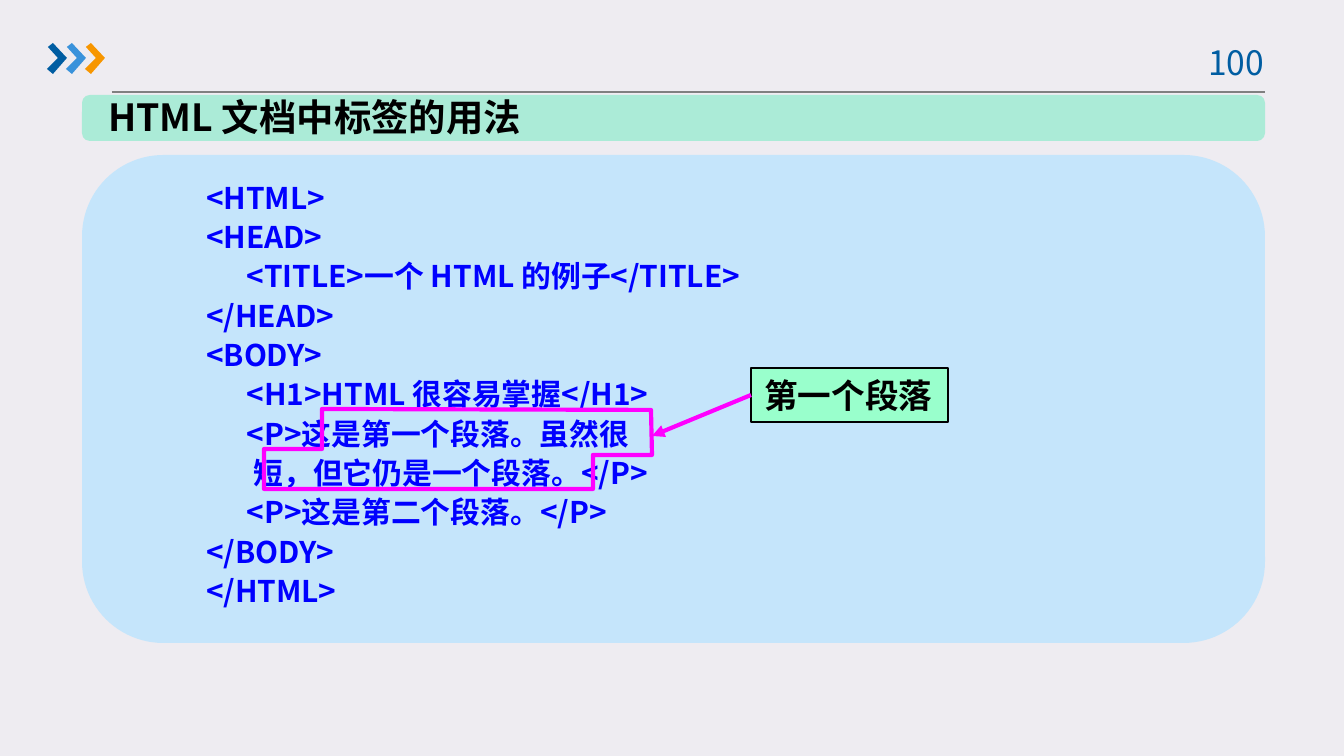
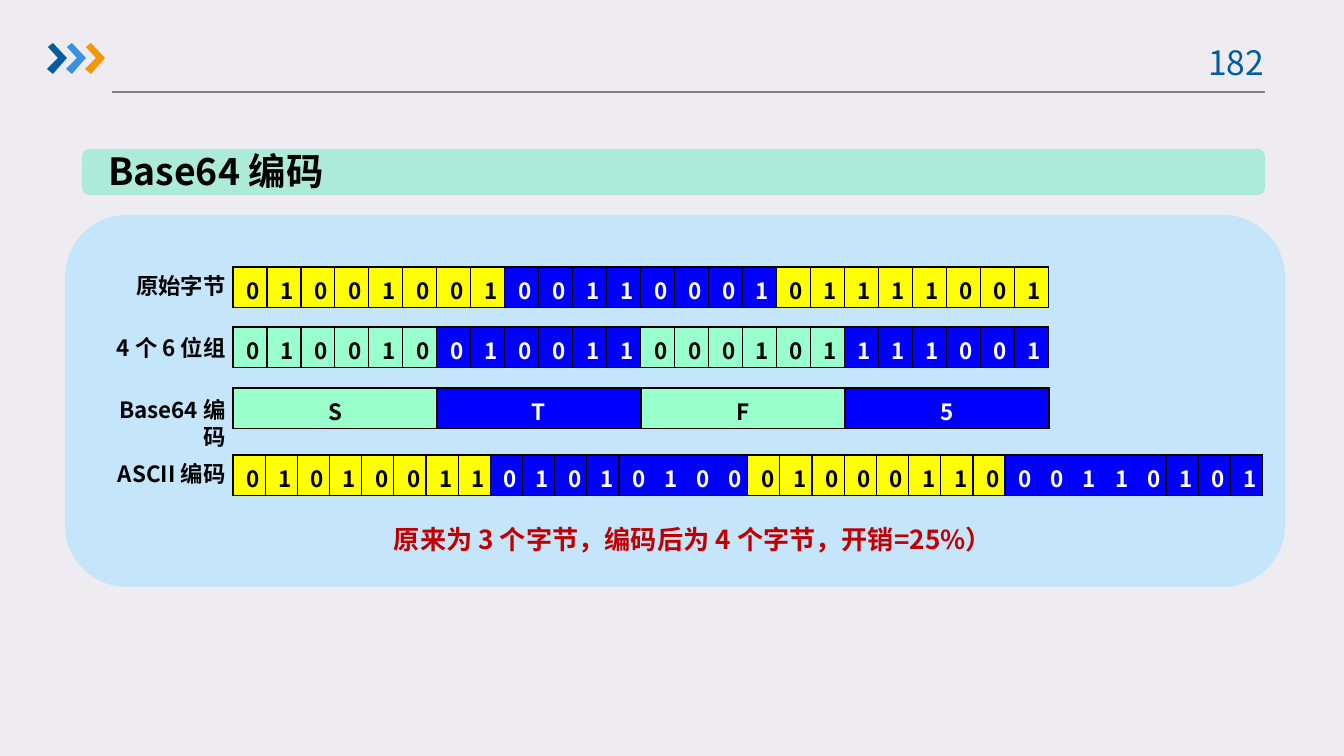
from lxml.etree import SubElement
from pptx import Presentation
from pptx.dml.color import RGBColor
from pptx.enum.shapes import MSO_CONNECTOR, MSO_SHAPE
from pptx.enum.text import MSO_ANCHOR, PP_ALIGN
from pptx.oxml.ns import qn
from pptx.util import Emu, Pt

FONT = "Noto Sans CJK SC"
BACKGROUND = RGBColor(0xEE, 0xEC, 0xF1)
PANEL = RGBColor(0xC5, 0xE5, 0xFB)
TITLE_BAND = RGBColor(0xAB, 0xEB, 0xD7)
NAVY = RGBColor(0x00, 0x5D, 0xA2)
SKY = RGBColor(0x39, 0x92, 0xDB)
ORANGE = RGBColor(0xF7, 0x96, 0x00)
GRAY = RGBColor(0x80, 0x80, 0x80)
BLACK = RGBColor(0x00, 0x00, 0x00)
INK = RGBColor(0x02, 0x02, 0x02)
WHITE = RGBColor(0xFF, 0xFF, 0xFF)
BLUE = RGBColor(0x00, 0x00, 0xFF)
YELLOW = RGBColor(0xFF, 0xFF, 0x00)
MINT = RGBColor(0x99, 0xFF, 0xCC)
MAGENTA = RGBColor(0xFF, 0x00, 0xFF)
RED = RGBColor(0xC0, 0x00, 0x00)

CHEVRON = [(1, 4), (6, 0), (20, 15), (6, 31), (0, 26), (11, 15)]
CODE = [
    "<HTML>",
    "<HEAD>",
    "      <TITLE>一个 HTML 的例子</TITLE>",
    "</HEAD>",
    "<BODY>",
    "      <H1>HTML 很容易掌握</H1>",
    "      <P>这是第一个段落。虽然很",
    "       短，但它仍是一个段落。</P>",
    "      <P>这是第二个段落。</P>",
    "</BODY>",
    "</HTML>",
]
PARAGRAPH_OUTLINE = [(0, 80), (0, 40), (58, 40), (58, 0),
                     (387, 1), (388, 46), (329, 46), (329, 80)]
ENCODING_ROWS = [
    ("原始字节", 266, 267, 816, "010010010011000101111001", 8, (YELLOW, BLUE)),
    ("4 个 6 位组", 328, 327, 816, "010010010011000101111001", 6, (MINT, BLUE)),
    ("Base64 编码", 390, 388, 816, "STF5", 1, (MINT, BLUE)),
    ("ASCII 编码", 454, 455, 1029, "01010011010101000100011000110101", 8, (YELLOW, BLUE)),
]


def px(length):
    """Turn pixels into EMU."""
    return Emu(round(length * 914400 / 134.4))


def write(frame, lines, size, color, bold=True, align=PP_ALIGN.LEFT, spacing=None):
    """Fill a text frame with one paragraph per line."""
    for index, line in enumerate(lines):
        paragraph = frame.add_paragraph() if index else frame.paragraphs[0]
        paragraph.text = line
        paragraph.alignment = align
        if spacing:
            paragraph.line_spacing = spacing
        font = paragraph.font
        font.size, font.bold, font.name = Pt(size), bold, FONT
        font.color.rgb = color
        defaults = paragraph._p.pPr.find(qn("a:defRPr"))
        SubElement(defaults, qn("a:ea"), typeface=FONT)


def add_text(slide, box, lines, size, color, anchor=MSO_ANCHOR.TOP, **style):
    """Add a wrapping text box."""
    frame = slide.shapes.add_textbox(*map(px, box)).text_frame
    frame.word_wrap = True
    frame.vertical_anchor = anchor
    write(frame, lines, size, color, **style)


def add_block(slide, preset, box, fill):
    """Add a plain filled shape without outline or shadow."""
    block = slide.shapes.add_shape(preset, *map(px, box))
    block.shadow.inherit = False
    block.fill.solid()
    block.fill.fore_color.rgb = fill
    block.line.fill.background()
    return block


def add_outline(slide, left, top, points):
    """Add a closed freeform whose points are relative to left and top."""
    corners = [(px(left + x), px(top + y)) for x, y in points]
    builder = slide.shapes.build_freeform(*corners[0])
    builder.add_line_segments(corners[1:], close=True)
    outline = builder.convert_to_shape()
    outline.shadow.inherit = False
    return outline


def add_line(slide, start, end, color, width):
    """Add a straight connector without shadow."""
    line = slide.shapes.add_connector(MSO_CONNECTOR.STRAIGHT, *map(px, start + end))
    line.line.color.rgb = color
    line.line.width = Pt(width)
    SubElement(line._element.spPr, qn("a:effectLst"))
    return line


def add_header(slide, number):
    """Draw the background, rule, chevrons and page number."""
    slide.background.fill.solid()
    slide.background.fill.fore_color.rgb = BACKGROUND
    add_line(slide, (112, 92), (1265, 92), GRAY, 0.75)
    for index, color in enumerate((NAVY, SKY, ORANGE)):
        chevron = add_outline(slide, 47 + 19 * index, 43, CHEVRON)
        chevron.fill.solid()
        chevron.fill.fore_color.rgb = color
        chevron.line.fill.background()
    add_text(slide, (1187, 35, 98, 54), [number], 18, NAVY,
             bold=False, align=PP_ALIGN.CENTER)


def add_title(slide, top, title):
    """Draw the title band with its title."""
    band = add_block(slide, MSO_SHAPE.ROUNDED_RECTANGLE, (82, top, 1183, 46), TITLE_BAND)
    band.adjustments[0] = 0.17
    add_text(slide, (95, top - 7, 746, 59), [title], 20, BLACK)


def add_callout(slide, left, top, label):
    """Draw the boxed label and its arrow."""
    callout = add_block(slide, MSO_SHAPE.RECTANGLE, (left, top, 197, 54), MINT)
    callout.line.color.rgb = BLACK
    callout.line.width = Pt(1)
    callout.text_frame.word_wrap = False
    write(callout.text_frame, [label], 18, BLACK)
    arrow = add_line(slide, (left, top + 27), (left - 99, top + 68), MAGENTA, 2.25)
    arrow.begin_connect(callout, 1)
    SubElement(arrow.line._get_or_add_ln(), qn("a:tailEnd"), type="triangle")


def add_borders(cell):
    """Give a cell thin black borders ahead of its fill."""
    properties = cell._tc.get_or_add_tcPr()
    for side in ("a:lnL", "a:lnR", "a:lnT", "a:lnB"):
        border = SubElement(properties, qn(side), w=str(Pt(0.75)))
        SubElement(SubElement(border, qn("a:solidFill")), qn("a:srgbClr"), val=str(BLACK))


def add_encoding_row(slide, left, top, width, symbols, group, fills):
    """Draw one row of symbols, coloured by group in turn."""
    count = len(symbols)
    table = slide.shapes.add_table(1, count, px(left), px(top), px(width), px(40)).table
    table.first_row = table.horz_banding = False
    for index, symbol in enumerate(symbols):
        table.columns[index].width = Emu(px(width) // count)
        fill = fills[index // group % len(fills)]
        cell = table.cell(0, index)
        add_borders(cell)
        cell.fill.solid()
        cell.fill.fore_color.rgb = fill
        cell.vertical_anchor = MSO_ANCHOR.MIDDLE
        write(cell.text_frame, [symbol], 12, WHITE if fill == BLUE else BLACK,
              align=PP_ALIGN.CENTER)


def build_html_slide(slide):
    """Show the HTML sample with its first paragraph marked."""
    add_header(slide, "100")
    add_block(slide, MSO_SHAPE.ROUNDED_RECTANGLE, (82, 155, 1183, 488), PANEL)
    add_title(slide, 95, "HTML 文档中标签的用法")
    add_text(slide, (193, 169, 698, 451), CODE, 16, BLUE, spacing=1.1)
    add_callout(slide, 751, 368, "第一个段落")
    outline = add_outline(slide, 264, 409, PARAGRAPH_OUTLINE)
    outline.fill.background()
    outline.line.color.rgb = MAGENTA
    outline.line.width = Pt(2.25)


def build_base64_slide(slide):
    """Show the steps of Base64 encoding row by row."""
    add_header(slide, "182")
    add_block(slide, MSO_SHAPE.ROUNDED_RECTANGLE, (65, 215, 1220, 372), PANEL)
    add_title(slide, 149, "Base64 编码")
    for label, label_top, row_top, width, symbols, group, fills in ENCODING_ROWS:
        add_text(slide, (94, label_top, 145, 40), [label], 12, INK, align=PP_ALIGN.RIGHT)
        add_encoding_row(slide, 233, row_top, width, symbols, group, fills)
    add_text(slide, (331, 516, 724, 46), ["原来为 3 个字节，编码后为 4 个字节，开销=25%）"],
             14, RED, anchor=MSO_ANCHOR.MIDDLE, align=PP_ALIGN.CENTER)


def main():
    """Build and save the slides."""
    deck = Presentation()
    deck.slide_width, deck.slide_height = px(1344), px(756)
    for build in (build_html_slide, build_base64_slide):
        build(deck.slides.add_slide(deck.slide_layouts[6]))
    deck.save("out.pptx")


if __name__ == "__main__":
    main()
